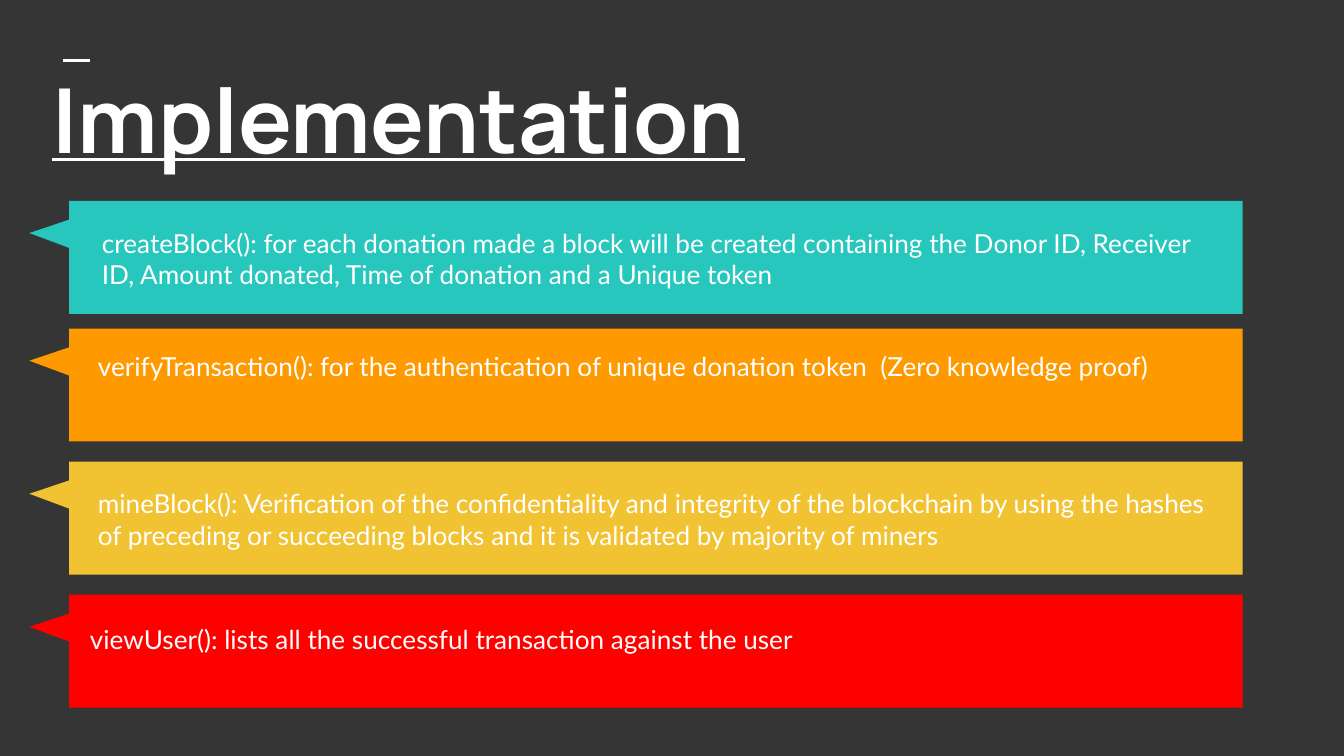
from lxml import etree
from pptx import Presentation
from pptx.dml.color import RGBColor
from pptx.enum.shapes import MSO_CONNECTOR as Connector, MSO_SHAPE as Shape
from pptx.enum.text import MSO_ANCHOR as Anchor, MSO_AUTO_SIZE as AutoSize, PP_ALIGN as Align
from pptx.oxml.ns import qn
from pptx.util import Inches, Pt

WHITE = "FFFFFF"
CALLOUT_WIDTH, CALLOUT_HEIGHT = 0.84, 8.73  # before the quarter turn
CALLOUT_LEFT = 4.46

# Callout top, fill, text left, text top, wording
STEPS = [
    (-2.45, "27C7BD", 0.66, 1.59,
     "createBlock(): for each donation made a block will be created containing "
     "the Donor ID, Receiver ID, Amount donated, Time of donation and a Unique token"),
    (-1.50, "FF9900", 0.63, 2.51,
     "verifyTransaction(): for the authentication of unique donation token  "
     "(Zero knowledge proof)"),
    (-0.51, "F1C232", 0.63, 3.53,
     "mineBlock(): Verification of the confidentiality and integrity of the "
     "blockchain by using the hashes of preceding or succeeding blocks and it is "
     "validated by majority of miners"),
    (0.48, "FF0000", 0.57, 4.54,
     "viewUser(): lists all the successful transaction against the user"),
]


def color(value):
    return RGBColor.from_string(value)


def write_text(shape, words, font_name, size, spacing=1.0, bold=False, underline=False):
    frame = shape.text_frame
    frame.word_wrap = True
    frame.auto_size = AutoSize.NONE
    frame.vertical_anchor = Anchor.TOP
    frame.margin_left = frame.margin_right = Inches(0.1)
    frame.margin_top = frame.margin_bottom = Inches(0.1)
    para = frame.paragraphs[0]
    para.alignment = Align.LEFT
    para.line_spacing = spacing
    span = para.add_run()
    span.text = words
    font = span.font
    font.name, font.size = font_name, Pt(size)
    font.bold, font.underline = bold, underline
    font.color.rgb = color(WHITE)


def add_title(slide, words):
    title = slide.shapes.title
    title.left, title.top = Inches(0.29), Inches(0.45)
    title.width, title.height = Inches(9.43), Inches(1.12)
    write_text(title, words, "Manrope", 48, spacing=0.93, bold=True, underline=True)


def add_accent_line(slide):
    line = slide.shapes.add_connector(
        Connector.STRAIGHT, Inches(0.47), Inches(0.45), Inches(0.67), Inches(0.45))
    line.line.color.rgb = color(WHITE)
    line.line.width = Pt(1.5)
    properties = line._element.find(qn("p:spPr"))
    etree.SubElement(properties, qn("a:effectLst"))


def add_callout(slide, top, fill):
    callout = slide.shapes.add_shape(
        Shape.RECTANGULAR_CALLOUT, Inches(CALLOUT_LEFT), Inches(top),
        Inches(CALLOUT_WIDTH), Inches(CALLOUT_HEIGHT))
    callout.rotation = 90
    callout.adjustments[0] = -0.215
    callout.adjustments[1] = 0.534
    callout.shadow.inherit = False
    callout.fill.solid()
    callout.fill.fore_color.rgb = color(fill)
    callout.line.fill.background()


def add_description(slide, left, top, words):
    box = slide.shapes.add_textbox(
        Inches(left), Inches(top), Inches(8.51), Inches(0.66))
    write_text(box, words, "Lato", 14)


def main():
    deck = Presentation()
    deck.slide_width = Inches(10)
    deck.slide_height = deck.slide_width * 9 // 16  # widescreen
    slide = deck.slides.add_slide(deck.slide_layouts[5])
    slide.background.fill.solid()
    slide.background.fill.fore_color.rgb = color("353535")

    # Heading
    add_accent_line(slide)
    add_title(slide, "Implementation")

    # One coloured callout with its description per function
    for callout_top, fill, text_left, text_top, words in STEPS:
        add_callout(slide, callout_top, fill)
        add_description(slide, text_left, text_top, words)

    deck.save("out.pptx")


if __name__ == "__main__":
    main()
